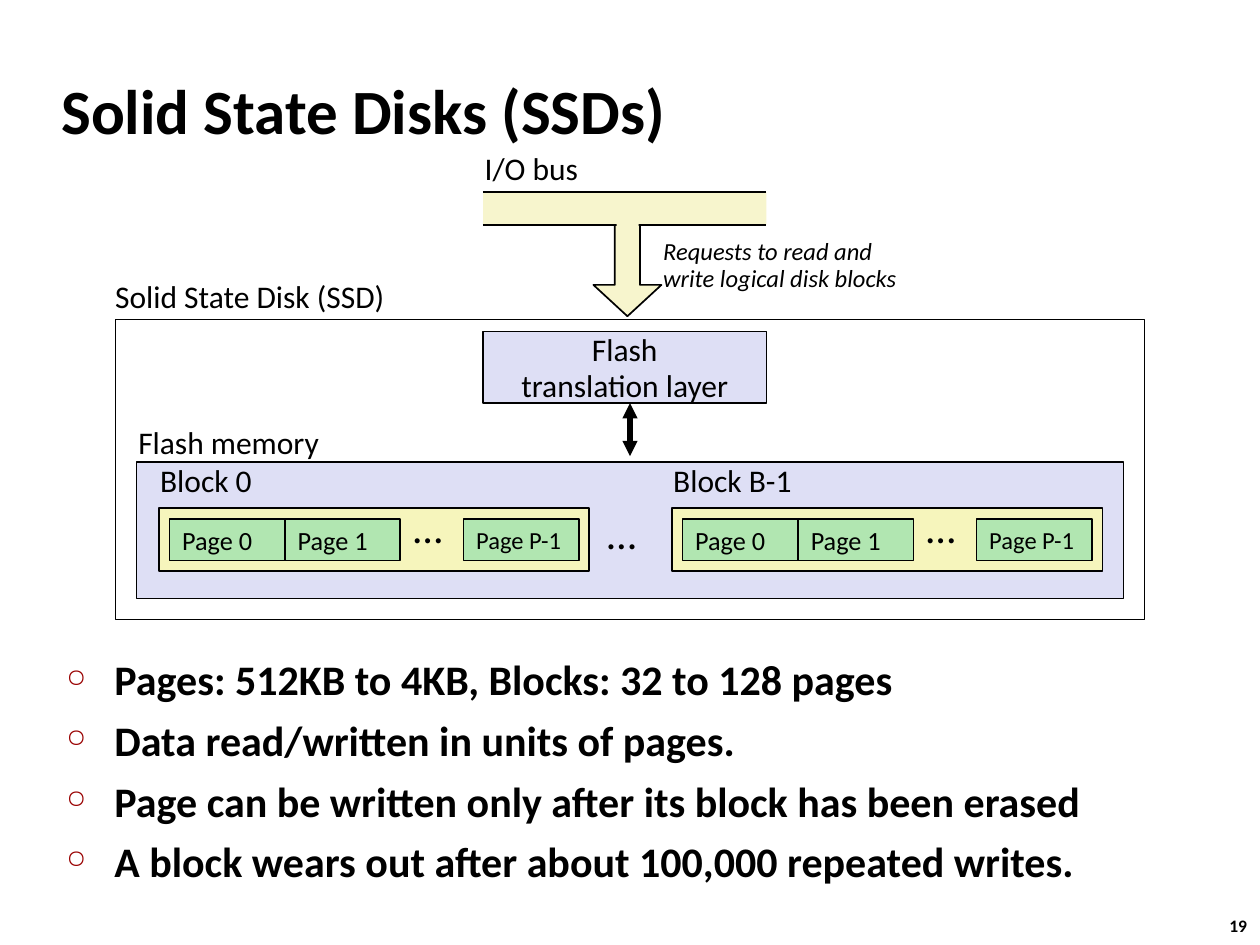
from lxml import etree
from pptx import Presentation
from pptx.dml.color import RGBColor
from pptx.enum import shapes, text
from pptx.oxml import ns
from pptx.util import Pt

BLACK, LAVENDER, CREAM, YELLOW, GREEN = "000000", "DEDFF5", "F7F5CD", "F6F5BC", "B1E6B1"
BULLET_RED = "990000"


def color(hex_value):
    return RGBColor.from_string(hex_value)


def add_xml(parent, tag, **attributes):
    return etree.SubElement(parent, ns.qn(tag), **attributes)


class SlideBuilder:
    """Holds the style and the current slide, and draws each kind of element."""

    font_name = "Calibri"
    line_width = 0.96

    def __init__(self, slide):
        self.slide = slide

    def prepare(self, frame, inset=0, anchor=text.MSO_ANCHOR.TOP, wrap=True):
        frame.auto_size = text.MSO_AUTO_SIZE.NONE
        frame.word_wrap = wrap
        frame.margin_left = Pt(inset)
        frame.margin_top = frame.margin_right = frame.margin_bottom = 0
        frame.vertical_anchor = anchor

    def put_text(self, frame, lines, size, bold=False, italic=False,
                 align=text.PP_ALIGN.LEFT, spacing=None, gap=0, bullet=None):
        for number, line in enumerate(lines):
            paragraph = frame.paragraphs[0] if number == 0 else frame.add_paragraph()
            if bullet:
                self.add_bullet(paragraph, bullet)
            paragraph.alignment = align
            paragraph.space_before = Pt(gap if number else 0)
            if spacing:
                paragraph.line_spacing = Pt(spacing)
            run = paragraph.add_run()
            run.text = line
            run.font.name = self.font_name
            run.font.size = Pt(size)
            run.font.bold = bold
            run.font.italic = italic
            run.font.color.rgb = color(BLACK)

    def add_bullet(self, paragraph, character):
        properties = paragraph._p.get_or_add_pPr()
        properties.set("marL", str(Pt(28)))
        properties.set("indent", str(Pt(-27.4)))
        add_xml(add_xml(properties, "a:buClr"), "a:srgbClr", val=BULLET_RED)
        add_xml(properties, "a:buSzPct", val="60000")
        add_xml(properties, "a:buChar", char=character)

    def title(self, left, top, width, height, line, size):
        holder = self.slide.shapes.title
        holder.left, holder.top, holder.width, holder.height = map(Pt, (left, top, width, height))
        self.prepare(holder.text_frame, wrap=False)
        self.put_text(holder.text_frame, [line], size, bold=True)

    def label(self, left, top, width, height, lines, size, **style):
        box = self.slide.shapes.add_textbox(*map(Pt, (left, top, width, height)))
        self.prepare(box.text_frame)
        self.put_text(box.text_frame, lines, size, **style)

    def shape(self, left, top, width, height, fill=None, outlined=True,
              kind=shapes.MSO_SHAPE.RECTANGLE):
        figure = self.slide.shapes.add_shape(kind, *map(Pt, (left, top, width, height)))
        figure.shadow.inherit = False
        if fill:
            figure.fill.solid()
            figure.fill.fore_color.rgb = color(fill)
        else:
            figure.fill.background()
        if outlined:
            figure.line.color.rgb = color(BLACK)
            figure.line.width = Pt(self.line_width)
        else:
            figure.line.fill.background()
        return figure

    def box(self, left, top, width, height, fill, lines, size, inset=0,
            anchor=text.MSO_ANCHOR.MIDDLE, **style):
        frame = self.shape(left, top, width, height, fill).text_frame
        self.prepare(frame, inset, anchor)
        self.put_text(frame, lines, size, **style)

    def line(self, x1, y1, x2, y2, width=line_width, double_headed=False):
        connector = self.slide.shapes.add_connector(
            shapes.MSO_CONNECTOR.STRAIGHT, *map(Pt, (x1, y1, x2, y2)))
        connector.line.color.rgb = color(BLACK)
        connector.line.width = Pt(width)
        if double_headed:
            for end in ("a:headEnd", "a:tailEnd"):
                add_xml(connector.line._get_or_add_ln(), end, type="triangle")
        add_xml(connector._element.spPr, "a:effectLst")

    def block(self, left, name):
        self.label(left + 0.7, 263.6, 120, 24, [name], 18)
        self.shape(left, 290.2, 246, 36, YELLOW)
        pages = [("Page 0", 6, 15), ("Page 1", 72, 15), ("Page P-1", 174, 14)]
        for page, offset, size in pages:
            self.box(left + offset, 296.4, 66, 24, GREEN, [page], size, inset=7.3)
        self.label(left + 145.4, 286.6, 24, 31, ["…"], 24)


def main():
    deck = Presentation()
    deck.slide_width, deck.slide_height = Pt(720), Pt(540)
    builder = SlideBuilder(deck.slides.add_slide(deck.slide_layouts[5]))

    builder.title(35, 41, 350, 45, "Solid State Disks (SSDs)", 36)

    builder.shape(66, 182.6, 588, 171.4)
    builder.label(65.8, 158.4, 170, 24, ["Solid State Disk (SSD)"], 18)

    request_arrow = builder.shape(339.1, 126.7, 38.9, 54, CREAM,
                                  kind=shapes.MSO_SHAPE.DOWN_ARROW)
    request_arrow.adjustments[0], request_arrow.adjustments[1] = 0.37, 0.46
    bus_left, bus_top, bus_width, bus_height = 276, 109.6, 162, 18.8
    builder.shape(bus_left, bus_top, bus_width, bus_height, CREAM, outlined=False)
    for y in (bus_top, bus_top + bus_height):
        builder.line(bus_left, y, bus_left + bus_width, y)
    builder.shape(352.4, 121, 12.6, 12, CREAM, outlined=False)
    builder.label(277, 85, 100, 24, ["I/O bus"], 18)
    builder.label(379, 136.6, 160, 34, ["Requests to read and", "write logical disk blocks"],
                  14, italic=True, spacing=15.2)

    builder.box(276, 189.4, 162, 41, LAVENDER, ["Flash", "translation layer"], 18,
                anchor=text.MSO_ANCHOR.TOP, align=text.PP_ALIGN.CENTER, spacing=20.6)
    builder.line(360, 230.4, 360, 260.6, width=2.9, double_headed=True)

    builder.shape(78, 264, 564, 78, LAVENDER)
    builder.label(79, 241.7, 140, 24, ["Flash memory"], 18)
    for left, name in ((90.8, "Block 0"), (384, "Block B-1")):
        builder.block(left, name)
    builder.label(347, 290, 24, 31, ["…"], 24)

    builder.label(37.4, 373.7, 600, 140, [
        "Pages: 512KB to 4KB, Blocks: 32 to 128 pages",
        "Data read/written in units of pages.",
        "Page can be written only after its block has been erased",
        "A block wears out after about 100,000 repeated writes.",
    ], 24, bold=True, gap=5.8, bullet="○")
    builder.label(702.5, 523, 14, 12.4, ["19"], 10, bold=True)

    deck.save("out.pptx")


if __name__ == "__main__":
    main()
